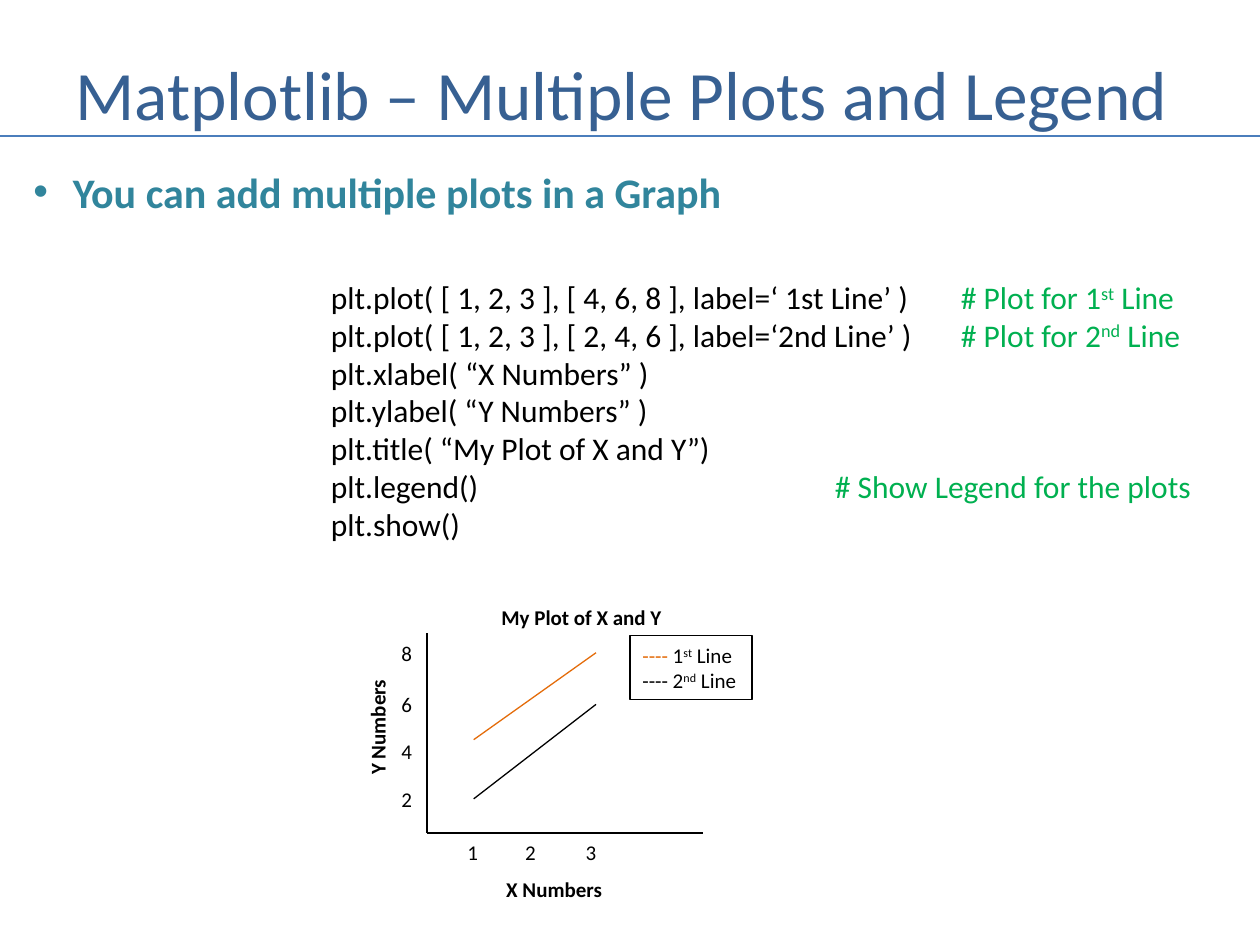
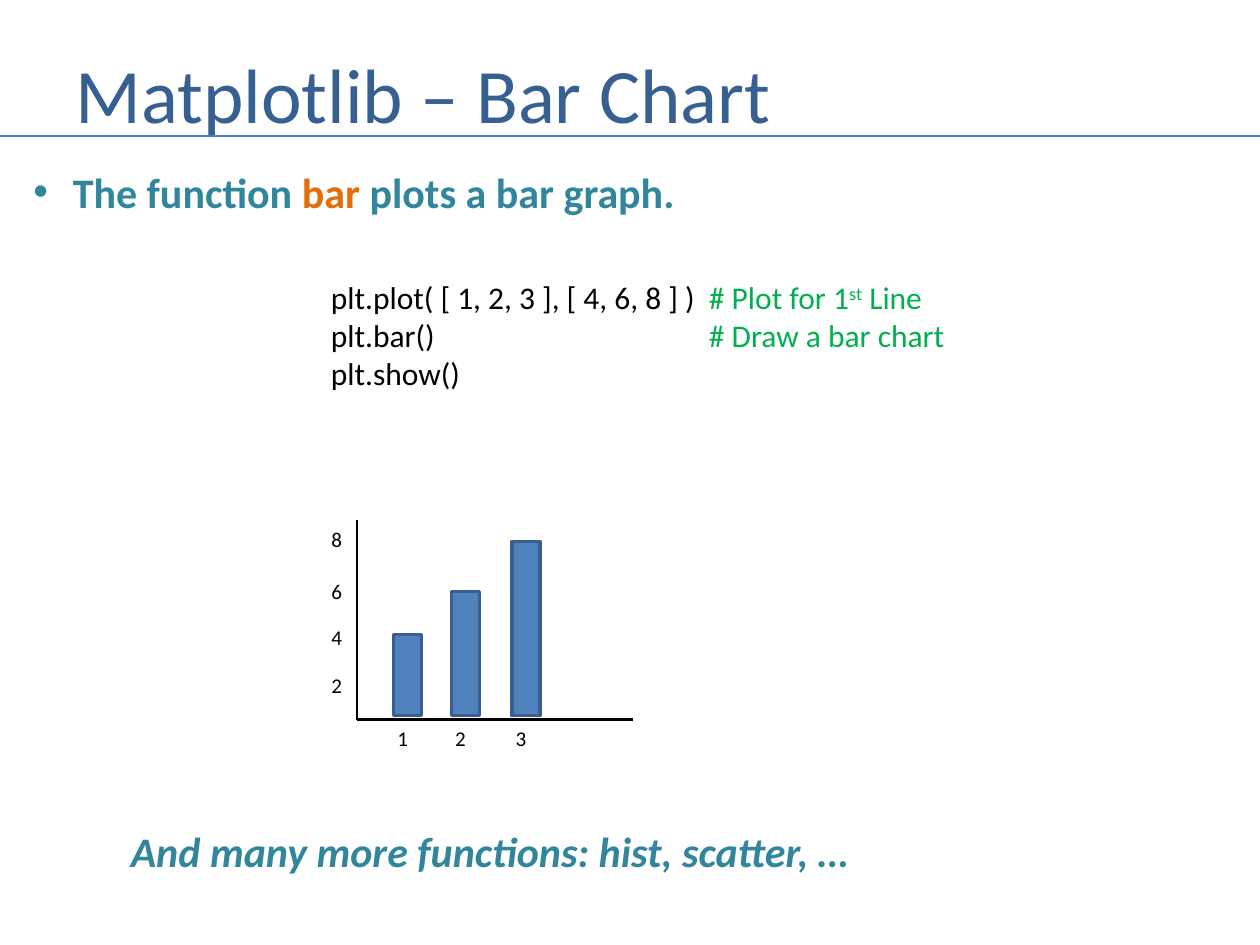
from lxml import etree
from pptx import Presentation
from pptx.dml.color import RGBColor
from pptx.enum import shapes, text
from pptx.oxml.ns import qn
from pptx.util import Pt

COLOURS = {
    "title": "376092", "rule": "4B7EBC", "body": "31859C", "code": "000000",
    "comment": "00B050", "accent": "E46C0A", "bar": "4F81BD", "bar_edge": "3A5F8C",
}
FONT = "Calibri"
HEADLINE = {"size": Pt(24), "bold": True}
CODE = {"size": Pt(18)}
LABEL = {"size": Pt(12)}
AXIS_NAME = {"size": Pt(12), "bold": True}
SUPERSCRIPT = "30000"

# Offsets from the origin of a hand-drawn graph
AXIS_WIDTH, AXIS_HEIGHT = 158, 114
X_TICKS = {"1": 16, "2": 49, "3": 83.5}
Y_TICKS = {"2": -30.2, "4": -57.6, "6": -84.2, "8": -113.8}


def write(box, paragraphs, colour, formats, bullet=False, tab=None, wrap=False):
    """Fill box; a paragraph is a list of (text, colour or None, superscript) spans."""
    frame = box.text_frame
    frame.word_wrap = wrap
    for number, spans in enumerate(paragraphs):
        para = frame.paragraphs[0] if number == 0 else frame.add_paragraph()
        para.alignment = text.PP_ALIGN.LEFT
        properties = para._p.get_or_add_pPr()
        if bullet:
            properties.set("marL", str(Pt(22.5)))
            properties.set("indent", str(-Pt(22.5)))
            etree.SubElement(properties, qn("a:buFont"), typeface="Arial")
            etree.SubElement(properties, qn("a:buChar"), char="•")
        if tab:
            stops = etree.SubElement(properties, qn("a:tabLst"))
            etree.SubElement(stops, qn("a:tab"), pos=str(Pt(tab)), algn="l")
        for words, span_colour, raised in spans:
            span = para.add_run()
            span.text = words
            span.font.name = FONT
            span.font.color.rgb = RGBColor.from_string(COLOURS[span_colour or colour])
            for name, value in formats.items():
                setattr(span.font, name, value)
            if raised:
                span.font._element.set("baseline", SUPERSCRIPT)
    return box


def draw_line(page, start, end, colour, width):
    line = page.shapes.add_connector(
        shapes.MSO_CONNECTOR.STRAIGHT, *(Pt(value) for value in (*start, *end)))
    line.line.color.rgb = RGBColor.from_string(COLOURS[colour])
    line.line.width = Pt(width)
    etree.SubElement(line._element.spPr, qn("a:effectLst"))


deck = Presentation()
deck.slide_width, deck.slide_height = Pt(720), Pt(540)

slides = [
    {
        "title": "Matplotlib – Multiple Plots and Legend", "title_size": 39.6,
        "headline": [("You can add multiple plots in a Graph", None, False)],
        "origin": (244, 476),
        "code": [
            (360, "plt.plot( [ 1, 2, 3 ], [ 4, 6, 8 ], label=‘ 1st Line’ )",
             ("# Plot for 1", "st", " Line")),
            (360, "plt.plot( [ 1, 2, 3 ], [ 2, 4, 6 ], label=‘2nd Line’ )",
             ("# Plot for 2", "nd", " Line")),
            (None, "plt.xlabel( “X Numbers” )", ()),
            (None, "plt.ylabel( “Y Numbers” )", ()),
            (None, "plt.title( “My Plot of X and Y”)", ()),
            (288, "plt.legend()", ("# Show Legend for the plots",)),
            (None, "plt.show()", ()),
        ],
    },
    {
        "title": "Matplotlib – Bar Chart", "title_size": 44,
        "headline": [("The function ", None, False), ("bar ", "accent", False),
                     ("plots a bar graph.", None, False)],
        "origin": (204, 411.2),
        "code": [
            (216, "plt.plot( [ 1, 2, 3 ], [ 4, 6, 8 ] )", ("# Plot for 1", "st", " Line")),
            (216, "plt.bar()", ("# Draw a bar chart",)),
            (None, "plt.show()", ()),
        ],
    },
]

pages = []
for content in slides:
    page = deck.slides.add_slide(deck.slide_layouts[6])
    pages.append(page)

    title = page.shapes.add_textbox(Pt(36), Pt(21.6), Pt(654), Pt(62.6))
    title.text_frame.vertical_anchor = text.MSO_ANCHOR.MIDDLE
    write(title, [[(content["title"], None, False)]], "title",
          {"size": Pt(content["title_size"])}, wrap=True)
    draw_line(page, (0, 77.8), (720, 77.8), "rule", 1.5)

    headline = page.shapes.add_textbox(Pt(12), Pt(91.5), Pt(480), Pt(36))
    write(headline, [content["headline"]], "body", HEADLINE, bullet=True, wrap=True)

    # Comments line up at a tab stop; every second piece is an ordinal ending
    code_lines = []
    for tab, statement, comment in content["code"]:
        spans = [(statement + ("\t" if comment else ""), None, False)]
        spans += [(piece, "comment", index % 2 == 1) for index, piece in enumerate(comment)]
        code_lines.append(spans)
    code = page.shapes.add_textbox(Pt(182), Pt(155.3), Pt(530), Pt(22 * len(code_lines) + 7.2))
    write(code, code_lines, "code", CODE, wrap=True)
    for para, (tab, statement, comment) in zip(code.text_frame.paragraphs, content["code"]):
        if tab:
            stops = etree.SubElement(para._p.get_or_add_pPr(), qn("a:tabLst"))
            etree.SubElement(stops, qn("a:tab"), pos=str(Pt(tab)), algn="l")

    left, base = content["origin"]
    draw_line(page, (left, base - AXIS_HEIGHT), (left, base), "code", 1.25)
    draw_line(page, (left, base), (left + AXIS_WIDTH, base), "code", 1.25)
    ticks = [(value, left + offset, base) for value, offset in X_TICKS.items()]
    ticks += [(value, left - 21.8, base + offset) for value, offset in Y_TICKS.items()]
    for value, tick_left, tick_top in ticks:
        tick = page.shapes.add_textbox(Pt(tick_left), Pt(tick_top), Pt(20.9), Pt(21.8))
        write(tick, [[(value, None, False)]], "code", LABEL)

line_page, bar_page = pages

# Line graph: names, two lines and a legend
for name, left, top, width, rotation in (
    ("X Numbers", 282.2, 497.5, 70, 0),
    ("Y Numbers", 180.7, 404, 70, 270),
    ("My Plot of X and Y", 279.4, 342, 107, 0),
):
    box = line_page.shapes.add_textbox(Pt(left), Pt(top), Pt(width), Pt(21.8))
    box.rotation = rotation
    write(box, [[(name, None, False)]], "code", AXIS_NAME)

for colour, start_y, end_y in (("code", 456.5, 402.5), ("accent", 422.7, 373)):
    draw_line(line_page, (270.7, start_y), (340.6, end_y), colour, 0.75)

legend = line_page.shapes.add_shape(
    shapes.MSO_SHAPE.RECTANGLE, Pt(360), Pt(363.3), Pt(69.8), Pt(36.4))
legend.shadow.inherit = False
legend.fill.background()
legend.line.color.rgb = RGBColor.from_string(COLOURS["code"])
legend.line.width = Pt(0.75)
write(legend, [
    [("----", colour, False), (" " + number, None, False),
     (ending, None, True), (" Line", None, False)]
    for colour, number, ending in (("accent", "1", "st"), ("code", "2", "nd"))
], "code", LABEL)

# Bar graph: one bar above each tick of the x axis
left, base = slides[1]["origin"]
for offset, height in zip(X_TICKS.values(), (46.5, 71, 99.5)):
    bar = bar_page.shapes.add_shape(
        shapes.MSO_SHAPE.RECTANGLE,
        Pt(left + offset + 5), Pt(base - 2.2 - height), Pt(16), Pt(height))
    bar.shadow.inherit = False
    bar.fill.solid()
    bar.fill.fore_color.rgb = RGBColor.from_string(COLOURS["bar"])
    bar.line.color.rgb = RGBColor.from_string(COLOURS["bar_edge"])
    bar.line.width = Pt(2)

closing = bar_page.shapes.add_textbox(Pt(67.7), Pt(468), Pt(429), Pt(36))
write(closing, [[("And many more functions: hist, scatter, …", None, False)]],
      "body", HEADLINE | {"italic": True})

deck.save("out.pptx")
